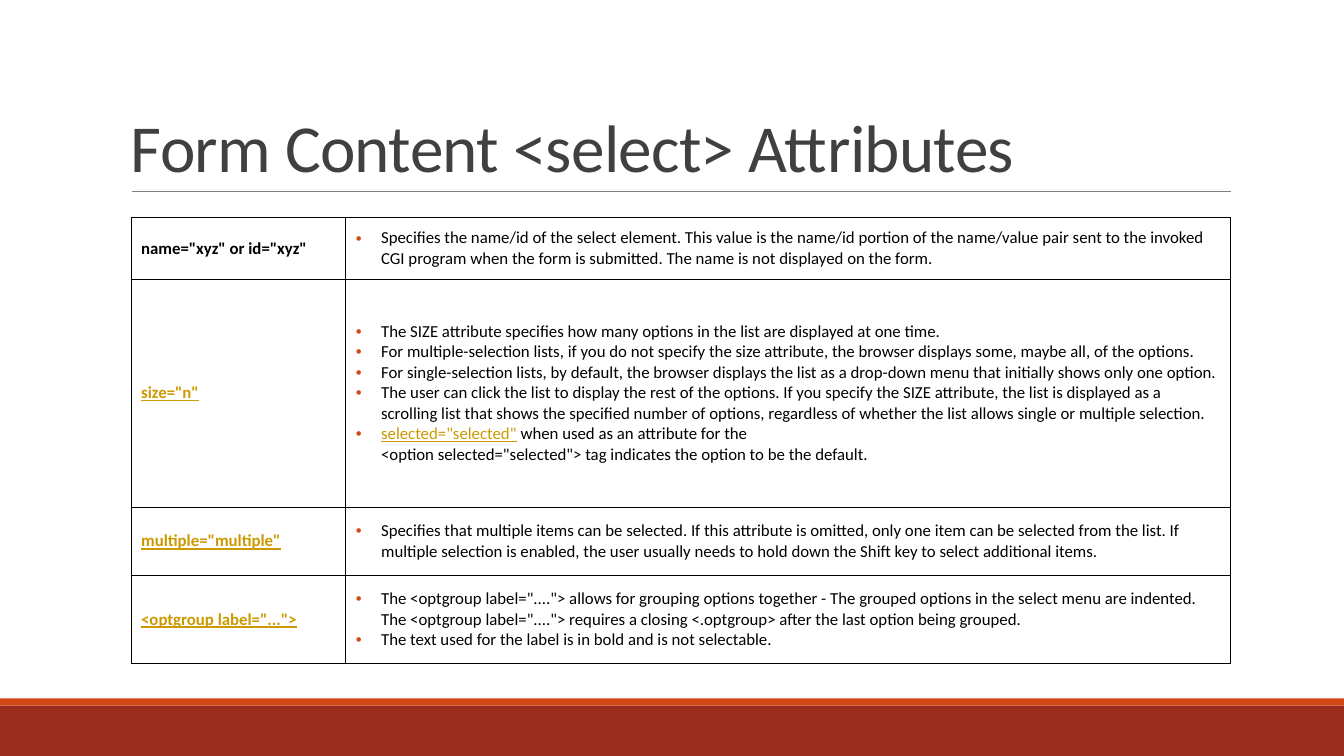
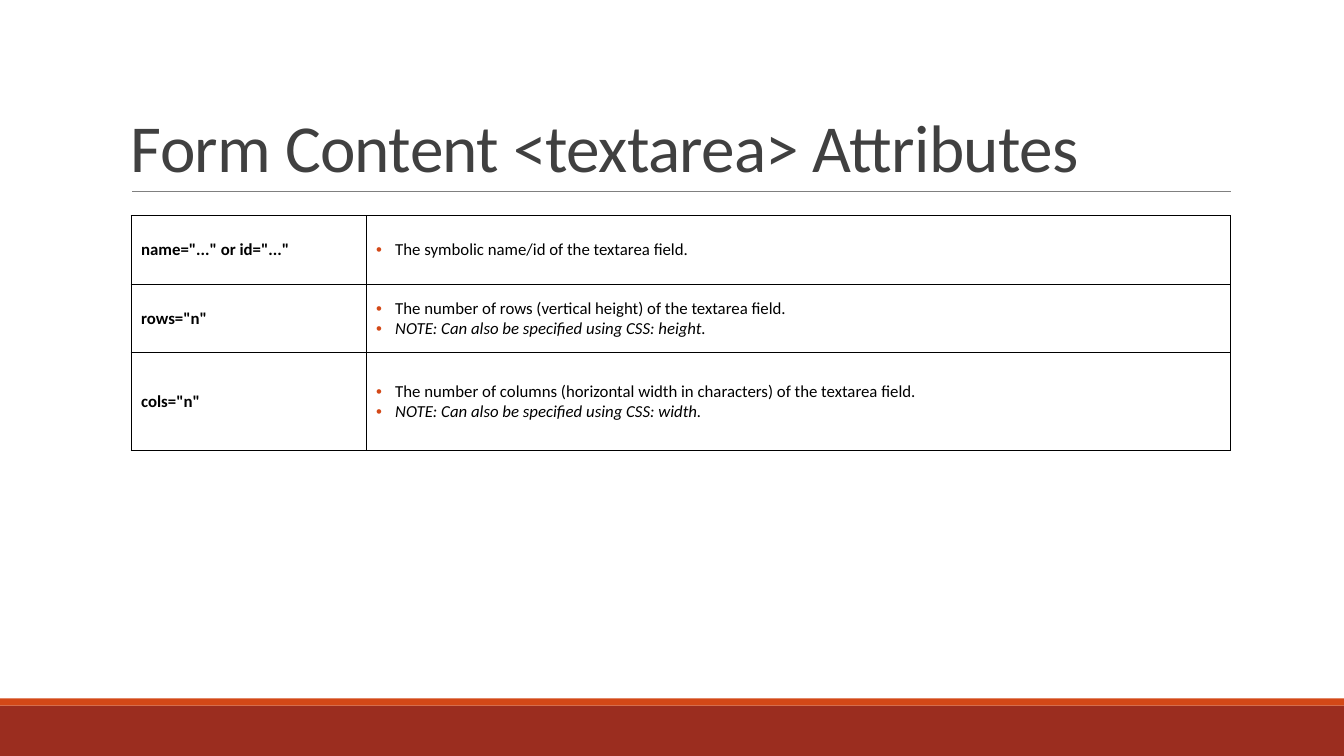
from lxml.etree import SubElement
from pptx import Presentation
from pptx.dml.color import RGBColor
from pptx.enum.shapes import MSO_CONNECTOR as CONNECTOR, MSO_SHAPE as SHAPE
from pptx.enum.text import MSO_ANCHOR as ANCHOR
from pptx.oxml.ns import qn
from pptx.util import Inches, Pt

WHITE = RGBColor(0xFF, 0xFF, 0xFF)
BLACK = RGBColor(0x00, 0x00, 0x00)
GRAY = RGBColor(0x80, 0x80, 0x80)
TITLE_GRAY = RGBColor(0x40, 0x40, 0x40)
ORANGE = RGBColor(0xD3, 0x48, 0x17)
BRICK = RGBColor(0x9B, 0x2D, 0x1F)
GOLD = RGBColor(0xCC, 0x99, 0x00)

FONT = "Calibri"
SLIDE_WIDTH, SLIDE_HEIGHT = 13.33, 7.5
TABLE_LEFT, TABLE_WIDTH = 1.3, 10.9
CELL_MARGIN = Inches(0.1)

# Run formats
LABEL = {"bold": True}
LINK = {"color": GOLD, "underline": True}
LINK_LABEL = {**LABEL, **LINK}
NOTE = {"italic": True}

# Rows: height, (label, format), bullets; a bullet is a list of (text, format)
SELECT_ROWS = [
    (0.61, ('name="xyz" or id="xyz"', LABEL), [
        [("Specifies the name/id of the select element. This value is the name/id portion of the "
          "name/value pair sent to the invoked CGI program when the form is submitted. "
          "The name is not displayed on the form.", {})],
    ]),
    (2.26, ('size="n"', LINK_LABEL), [
        [("The SIZE attribute specifies how many options in the list are displayed at one time.", {})],
        [("For multiple-selection lists, if you do not specify the size attribute, "
          "the browser displays some, maybe all, of the options.", {})],
        [("For single-selection lists, by default, the browser displays the list as a drop-down menu "
          "that initially shows only one option.", {})],
        [("The user can click the list to display the rest of the options. If you specify the SIZE "
          "attribute, the list is displayed as a scrolling list that shows the specified number of "
          "options, regardless of whether the list allows single or multiple selection.", {})],
        [('selected="selected"', LINK),
         (" when used as an attribute for the\n"
          '<option selected="selected"> tag indicates the option to be the default.', {})],
    ]),
    (0.68, ('multiple="multiple"', LINK_LABEL), [
        [("Specifies that multiple items can be selected. If this attribute is omitted, only one item "
          "can be selected from the list. If multiple selection is enabled, the user usually needs to "
          "hold down the Shift key to select additional items.", {})],
    ]),
    (0.87, ('<optgroup label="...">', LINK_LABEL), [
        [('The <optgroup label="...."> allows for grouping options together - The grouped options in '
          'the select menu are indented. The <optgroup label="...."> requires a closing <.optgroup> '
          "after the last option being grouped.", {})],
        [("The text used for the label is in bold and is not selectable.", {})],
    ]),
]

TEXTAREA_ROWS = [
    (0.68, ('name="..." or id="..."', LABEL), [
        [("The symbolic name/id of the textarea field.", {})],
    ]),
    (0.68, ('rows="n"', LABEL), [
        [("The number of rows (vertical height) of the textarea field.", {})],
        [("NOTE: Can also be specified using CSS: height.", NOTE)],
    ]),
    (0.97, ('cols="n"', LABEL), [
        [("The number of columns (horizontal width in characters) of the textarea field.", {})],
        [("NOTE: Can also be specified using CSS: width.", NOTE)],
    ]),
]


def write(paragraph, text, size=12, color=BLACK, bold=False, italic=False,
          underline=False, spacing=None):
    """Append text to the paragraph; a newline becomes a line break."""
    for index, line in enumerate(text.split("\n")):
        if index:
            paragraph.add_line_break()
        run = paragraph.add_run()
        run.text = line
        font = run.font
        font.name, font.size = FONT, Pt(size)
        font.bold, font.italic, font.underline = bold, italic, underline
        font.color.rgb = color
        if spacing is not None:
            run._r.get_or_add_rPr().set("spc", str(round(spacing * 100)))


def add_solid_fill(parent, color):
    SubElement(SubElement(parent, qn("a:solidFill")), qn("a:srgbClr"), val=str(color))


def add_bullet(paragraph, indent):
    properties = paragraph._p.get_or_add_pPr()
    properties.set("marL", str(Inches(indent)))
    properties.set("indent", str(-Inches(indent)))
    bullet_color = SubElement(properties, qn("a:buClr"))
    SubElement(bullet_color, qn("a:srgbClr"), val=str(ORANGE))
    SubElement(properties, qn("a:buFont"), typeface="Arial")
    SubElement(properties, qn("a:buChar"), char="•")


def style_cell(cell):
    properties = cell._tc.get_or_add_tcPr()
    for side in ("a:lnL", "a:lnR", "a:lnT", "a:lnB"):
        add_solid_fill(SubElement(properties, qn(side), w=str(Pt(0.75))), BLACK)
    cell.fill.solid()
    cell.fill.fore_color.rgb = WHITE
    cell.vertical_anchor = ANCHOR.MIDDLE
    cell.margin_left = cell.margin_right = CELL_MARGIN
    cell.margin_top = cell.margin_bottom = CELL_MARGIN


def add_band(slide, top, height, color):
    band = slide.shapes.add_shape(SHAPE.RECTANGLE, 0, Inches(top),
                                  Inches(SLIDE_WIDTH), Inches(height))
    band.shadow.inherit = False
    band.fill.solid()
    band.fill.fore_color.rgb = color
    band.line.fill.background()


def add_title(slide, text):
    title = slide.shapes.add_textbox(Inches(1.2), Inches(0.31), Inches(11), Inches(1.59))
    frame = title.text_frame
    frame.word_wrap = True
    frame.vertical_anchor = ANCHOR.BOTTOM
    paragraph = frame.paragraphs[0]
    paragraph.line_spacing = 0.85
    write(paragraph, text, size=48, color=TITLE_GRAY, spacing=-0.5)


def add_title_rule(slide):
    rule = slide.shapes.add_connector(CONNECTOR.STRAIGHT, Inches(1.31), Inches(1.9),
                                      Inches(12.21), Inches(1.9))
    rule.line.color.rgb = GRAY
    rule.line.width = Pt(0.5)
    SubElement(rule._element.spPr, qn("a:effectLst"))


def add_attribute_table(slide, rows, top, label_width, indent):
    total_height = sum(height for height, _, _ in rows)
    table = slide.shapes.add_table(len(rows), 2, Inches(TABLE_LEFT), Inches(top),
                                   Inches(TABLE_WIDTH), Inches(total_height)).table
    table.first_row = table.horz_banding = False
    table.columns[0].width = Inches(label_width)
    table.columns[1].width = Inches(TABLE_WIDTH - label_width)

    for row, (height, (label, label_format), bullets) in zip(table.rows, rows):
        row.height = Inches(height)
        label_cell, description = row.cells
        style_cell(label_cell)
        style_cell(description)
        write(label_cell.text_frame.paragraphs[0], label, **label_format)

        frame = description.text_frame
        for index, runs in enumerate(bullets):
            paragraph = frame.add_paragraph() if index else frame.paragraphs[0]
            add_bullet(paragraph, indent)
            for text, text_format in runs:
                write(paragraph, text, **text_format)


def add_attribute_slide(deck, title, rows, **table_layout):
    slide = deck.slides.add_slide(deck.slide_layouts[6])
    # Footer bands
    add_band(slide, 7, 0.5, BRICK)
    add_band(slide, 6.93, 0.07, ORANGE)
    # Heading and content
    add_title_rule(slide)
    add_title(slide, title)
    add_attribute_table(slide, rows, **table_layout)


def main():
    deck = Presentation()
    deck.slide_width, deck.slide_height = Inches(SLIDE_WIDTH), Inches(SLIDE_HEIGHT)
    add_attribute_slide(deck, "Form Content <select> Attributes", SELECT_ROWS,
                        top=2.16, label_width=2.13, indent=0.25)
    add_attribute_slide(deck, "Form Content <textarea> Attributes", TEXTAREA_ROWS,
                        top=2.14, label_width=2.33, indent=0.19)
    deck.save("out.pptx")


if __name__ == "__main__":
    main()
